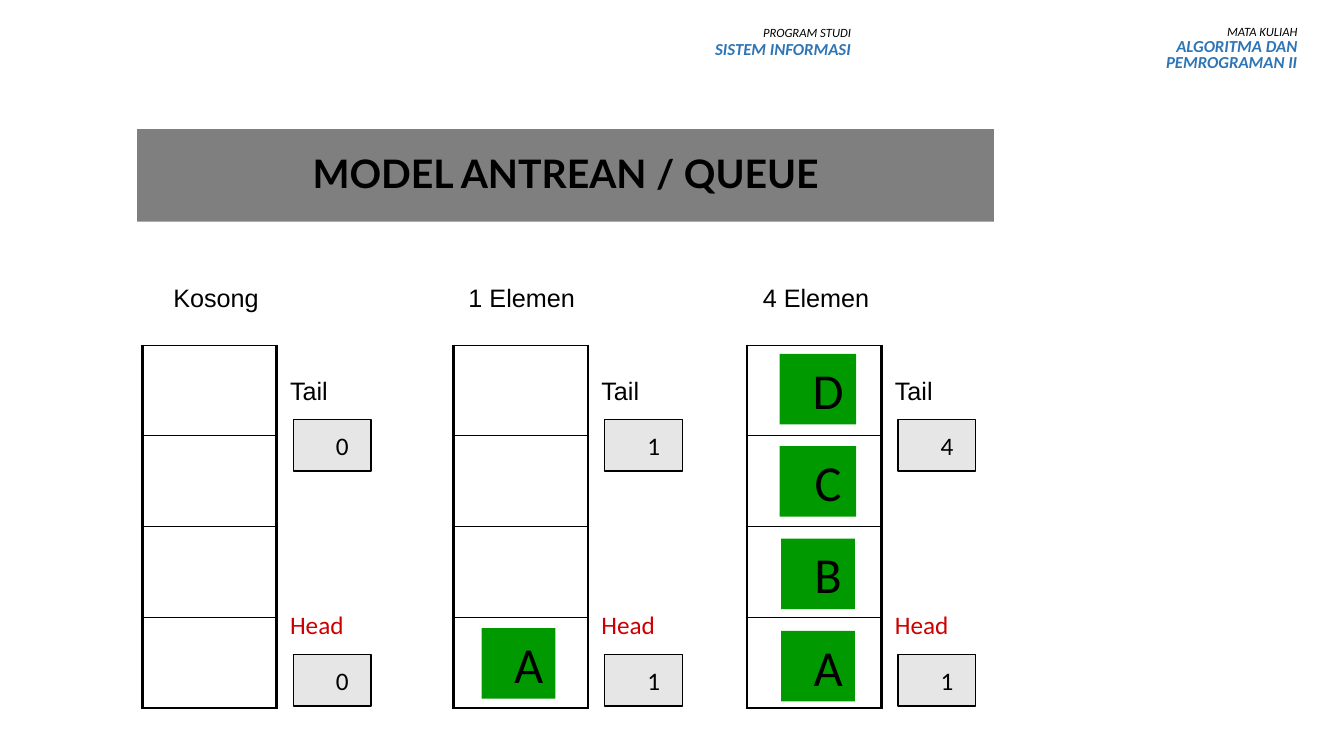
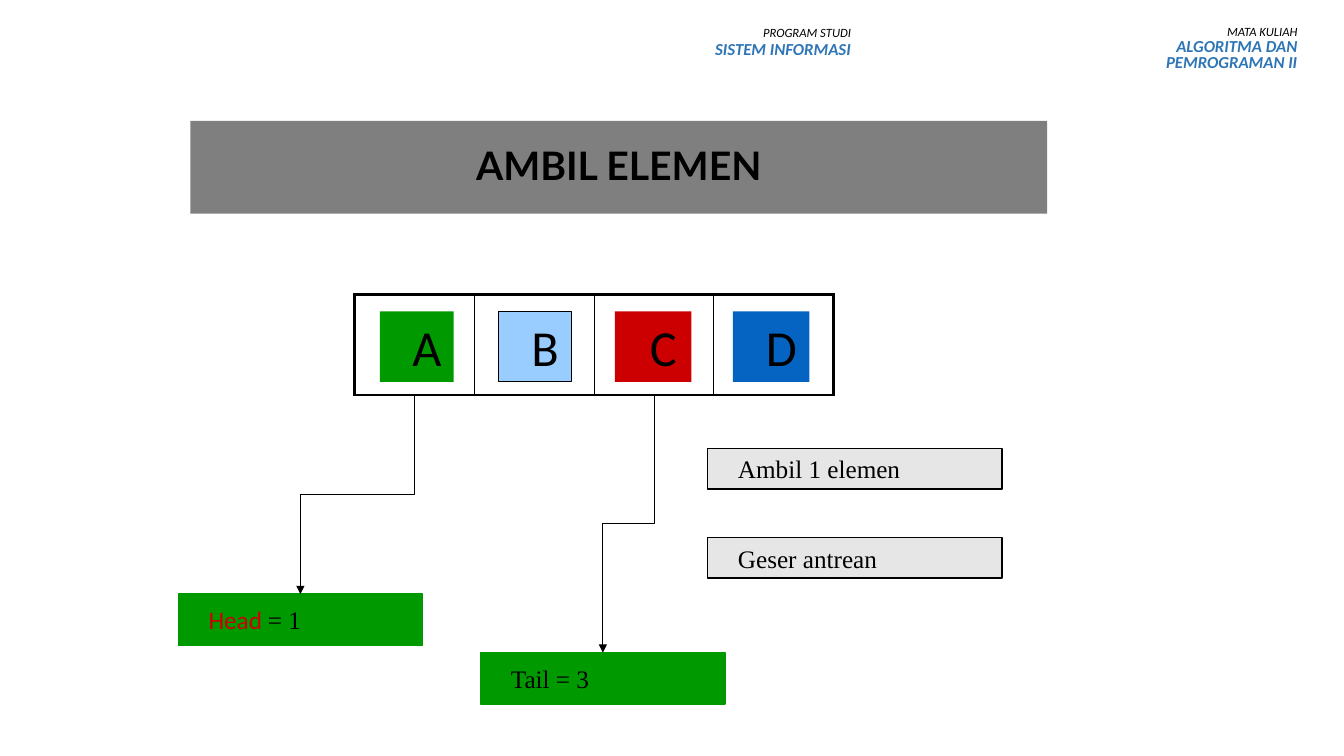
from lxml import etree
from pptx import Presentation
from pptx.dml.color import RGBColor
from pptx.enum.shapes import MSO_CONNECTOR, MSO_SHAPE
from pptx.enum.text import MSO_ANCHOR, PP_ALIGN
from pptx.oxml.ns import qn
from pptx.util import Pt

LEFT, MID, RIGHT = PP_ALIGN.LEFT, PP_ALIGN.CENTER, PP_ALIGN.RIGHT
RECT, ELBOW = MSO_SHAPE.RECTANGLE, MSO_CONNECTOR.ELBOW
MIDDLE = MSO_ANCHOR.MIDDLE

# Colours and fonts
BLACK, BLUE, GREY = "000000", "2E75B6", "E7E6E6"
GREEN, RED, SKY, NAVY = "009900", "CC0000", "99CCFF", "0563C1"
SANS, BODY, SERIF, HEAD = "Arial", "Calibri", "Times New Roman", "Lato"

# Sizes in points
THIN, THICK = 1, 2.25
TILE_W = {"A": 52.6, "B": 52.6, "C": 54.7, "D": 54.7}
TILE_H = 50.4


def rgb(code):
    return RGBColor.from_string(code)


def style(font, size, name=BODY, color=BLACK, bold=False, italic=False):
    font.size, font.name = Pt(size), name
    font.bold, font.italic = bold, italic
    font.color.rgb = rgb(color)


def write(frame, text, size, name=BODY, color=BLACK, align=LEFT):
    """Put one line of text in a frame with the wide left inset."""
    frame.word_wrap = True
    frame.margin_left, frame.margin_right = Pt(21.6), Pt(7.2)
    frame.margin_top = frame.margin_bottom = Pt(3.6)
    para = frame.paragraphs[0]
    para.text, para.alignment = text, align
    style(para.font, size, name, color)


def label(slide, x, y, w, text, name, color=BLACK, align=LEFT):
    box = slide.shapes.add_textbox(Pt(x), Pt(y), Pt(w), Pt(29))
    write(box.text_frame, text, 18, name, color, align)


def block(slide, x, y, w, h, fill, text, size=18, name=BODY, align=LEFT,
          edge=None, weight=THIN):
    shape = slide.shapes.add_shape(RECT, Pt(x), Pt(y), Pt(w), Pt(h))
    shape.shadow.inherit = False
    shape.fill.solid()
    shape.fill.fore_color.rgb = rgb(fill)
    if edge:
        shape.line.color.rgb = rgb(edge)
        shape.line.width = Pt(weight)
    else:
        shape.line.fill.background()
    shape.text_frame.vertical_anchor = MIDDLE
    write(shape.text_frame, text, size, name, align=align)
    return shape


def tile(slide, mid, y, text, fill=GREEN, edge=None):
    w = TILE_W[text]
    shape = block(slide, mid - w / 2, y, w, TILE_H, fill, text, 36,
                  align=MID, edge=edge, weight=0.75)
    shape.text_frame.word_wrap = False


def border(cell, side, weight):
    props = cell._tc.get_or_add_tcPr()
    line = etree.SubElement(props, qn("a:" + side), w=str(Pt(weight)))
    fill = etree.SubElement(line, qn("a:solidFill"))
    etree.SubElement(fill, qn("a:srgbClr"), val=BLACK)


def grid(slide, x, y, w, h, rows, cols, top=THICK):
    """Draw empty cells with thin inner and thick outer borders."""
    frame = slide.shapes.add_table(rows, cols, Pt(x), Pt(y), Pt(w), Pt(h))
    table = frame.table
    table.first_row = table.horz_banding = False
    for r in range(rows):
        for c in range(cols):
            cell = table.cell(r, c)
            border(cell, "lnL", THIN if c else THICK)
            border(cell, "lnR", THIN if c < cols - 1 else THICK)
            border(cell, "lnT", THIN if r else top)
            border(cell, "lnB", THIN if r < rows - 1 else THICK)
            cell.fill.background()


def arrow(slide, x1, y1, x2, y2):
    """Elbow that leaves downwards, so it is laid flat and turned by 90°."""
    mx, my = (x1 + x2) / 2, (y1 + y2) / 2
    dx, dy = (x1 - x2) / 2, (y2 - y1) / 2
    line = slide.shapes.add_connector(
        ELBOW, Pt(mx - dy), Pt(my - dx), Pt(mx + dy), Pt(my + dx))
    line.line.color.rgb = rgb(BLACK)
    line.line.width = Pt(0.75)
    props = line._element.spPr
    props.find(qn("a:xfrm")).set("rot", "5400000")
    etree.SubElement(props.find(qn("a:ln")), qn("a:tailEnd"), type="triangle")
    etree.SubElement(props, qn("a:effectLst"))


def banner(slide, x, small, large, gap):
    box = slide.shapes.add_textbox(Pt(x), Pt(15.8), Pt(180.7), Pt(40.3))
    frame = box.text_frame
    frame.word_wrap = True
    first, second = frame.paragraphs[0], frame.add_paragraph()
    first.text, second.text = small, large
    style(first.font, 9, italic=True)
    style(second.font, 12, color=BLUE, bold=True, italic=True)
    for para in frame.paragraphs:
        para.alignment, para.line_spacing = RIGHT, gap


def start(deck, text, x, y):
    """Add a slide with the shared header and title band."""
    slide = deck.slides.add_slide(deck.slide_layouts[5])
    banner(slide, 753.1, "MATA KULIAH", "ALGORITMA DAN PEMROGRAMAN II", 0.8)
    banner(slide, 434.2, "PROGRAM STUDI", "SISTEM INFORMASI", 0.9)
    title = slide.shapes.title
    title.left, title.top = Pt(x), Pt(y)
    title.width, title.height = Pt(612), Pt(66.2)
    title.fill.solid()
    title.fill.fore_color.rgb = rgb(BLACK)
    tint = title._element.spPr.find(qn("a:solidFill"))[0]
    etree.SubElement(tint, qn("a:alpha"), val="50000")
    title.text_frame.vertical_anchor = MIDDLE
    para = title.text_frame.paragraphs[0]
    para.text, para.alignment, para.line_spacing = text, MID, 0.9
    style(para.font, 28, HEAD, bold=True)
    return slide


def stack(slide, x, name, mid, tail, head, tiles="", tile_mid=0, tile_y=0):
    """Draw one queue: caption, cells, tiles from the bottom, counters."""
    label(slide, mid - 66, 198, 132, name, SANS, align=MID)
    grid(slide, x, 246.5, 96, 259.2, 4, 1, top=THIN)
    for i, letter in enumerate(tiles):
        tile(slide, tile_mid, tile_y - 66 * i, letter)
    counts = (("Tail", SANS, BLACK, tail, 264.2),
              ("Head", BODY, RED, head, 432))
    for text, font, color, count, y in counts:
        label(slide, x + 84, y, 114, text, font, color)
        block(slide, x + 108, y + 35.6, 55.4, 36.7, GREY, count,
              align=MID, edge=BLACK)


def model(deck):
    slide = start(deck, "MODEL ANTREAN / QUEUE", 98, 92.2)
    stack(slide, 101.6, "Kosong", 147, "0", "0")
    stack(slide, 324, "1 Elemen", 365.4, "1", "1", "A", 370.4, 448.6)
    stack(slide, 533.6, "4 Elemen", 575.6, "4", "1", "ABCD", 584.3, 450.7)


def take(deck):
    slide = start(deck, "AMBIL ELEMEN", 136, 86.4)

    # Queue
    grid(slide, 253.4, 210.2, 342, 72, 1, 4)
    looks = (("A", GREEN, None), ("B", SKY, BLACK),
             ("C", RED, None), ("D", NAVY, None))
    for i, (letter, fill, edge) in enumerate(looks):
        tile(slide, 297.7 + 84.4 * i, 222.5, letter, fill, edge)

    # Steps
    for y, text in ((320.2, "Ambil 1 elemen"), (384, "Geser antrean")):
        block(slide, 505.5, y, 210.2, 29, GREY, text, name=SERIF, edge=BLACK)

    # Pointers
    head = block(slide, 127.4, 424.4, 174.5, 36.7, GREEN, "", edge=GREEN)
    para = head.text_frame.paragraphs[0]
    for text, name, color in (("Head ", BODY, RED), ("= 1", SERIF, BLACK)):
        run = para.add_run()
        run.text = text
        style(run.font, 18, name, color)
    block(slide, 343.4, 466.2, 174.5, 36.7, GREEN, "Tail = 3",
          name=SERIF, edge=GREEN)
    arrow(slide, 296.4, 282.2, 214.6, 424.4)
    arrow(slide, 467.4, 282.2, 430.6, 466.2)


def main():
    deck = Presentation()
    deck.slide_width, deck.slide_height = Pt(960), Pt(540)
    model(deck)
    take(deck)
    deck.save("out.pptx")


if __name__ == "__main__":
    main()
